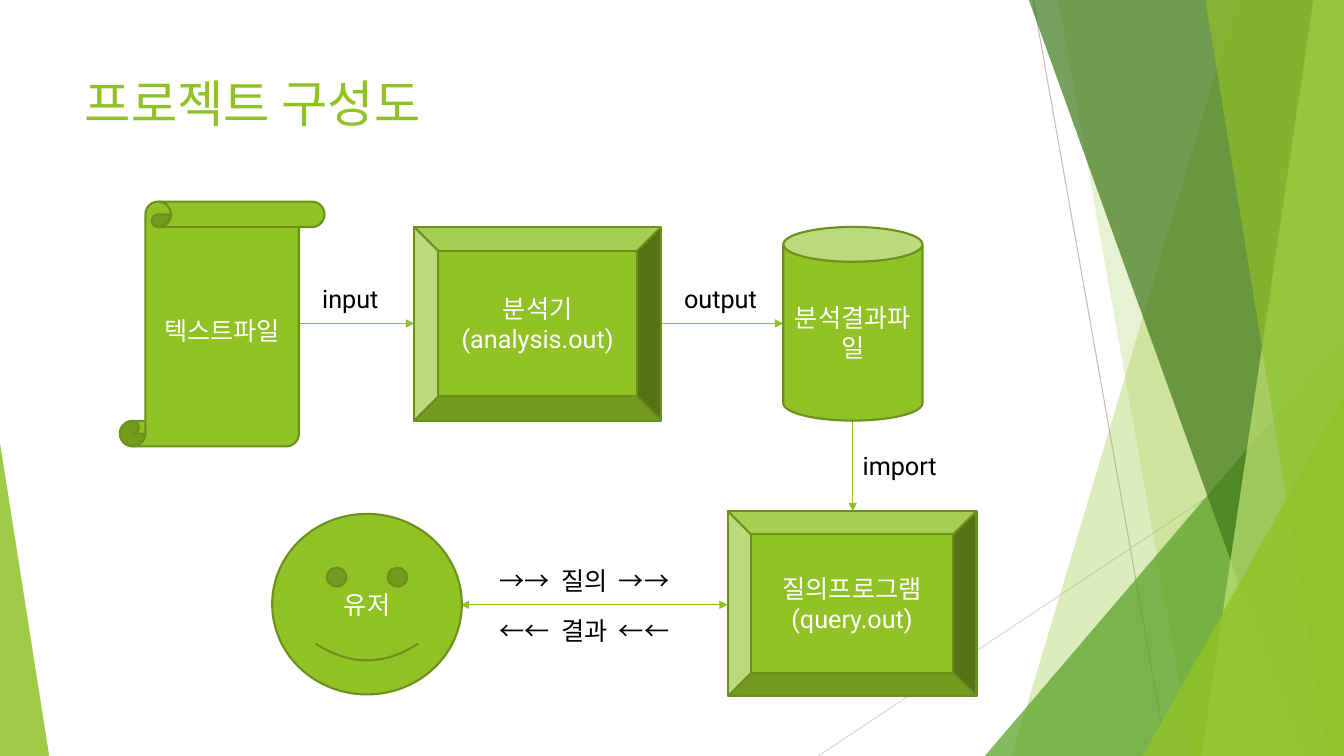
from lxml import etree
from pptx import Presentation
from pptx.dml.color import RGBColor
from pptx.enum.shapes import MSO_CONNECTOR, MSO_SHAPE
from pptx.enum.text import MSO_ANCHOR, MSO_AUTO_SIZE, PP_ALIGN
from pptx.oxml.ns import qn
from pptx.util import Cm, Pt

STRAIGHT = MSO_CONNECTOR.STRAIGHT
TRIANGLE = MSO_SHAPE.ISOSCELES_TRIANGLE
SCROLL, BEVEL = MSO_SHAPE.VERTICAL_SCROLL, MSO_SHAPE.BEVEL
CAN, SMILEY = MSO_SHAPE.CAN, MSO_SHAPE.SMILEY_FACE
LEFT, CENTER = PP_ALIGN.LEFT, PP_ALIGN.CENTER
TOP, GROW, FIXED = MSO_ANCHOR.TOP, MSO_AUTO_SIZE.SHAPE_TO_FIT_TEXT, MSO_AUTO_SIZE.NONE

WIDTH, HEIGHT = 33.87, 19.05
GREEN, DARK_GREEN = "90C226", "6B901C"
WHITE, BLACK = "FFFFFF", "000000"


def paint(fill, color, opacity=100):
    """Make a fill solid in a hex colour, with opacity in percent."""
    fill.solid()
    fill.fore_color.rgb = RGBColor.from_string(color)
    if opacity < 100:
        color_element = fill._xPr.find(qn("a:solidFill"))[0]
        etree.SubElement(color_element, qn("a:alpha"), val=str(opacity * 1000))


def write(shape, text, size, color, alignment):
    """Put text in a shape and format every paragraph alike."""
    shape.text_frame.text = text
    shape.text_frame.word_wrap = True
    for paragraph in shape.text_frame.paragraphs:
        paragraph.alignment = alignment
        paragraph.font.name = "Roboto"
        paragraph.font.size = Pt(size)
        paint(paragraph.font.fill, color)


presentation = Presentation()
presentation.slide_width, presentation.slide_height = Cm(WIDTH), Cm(HEIGHT)
slide = presentation.slides.add_slide(presentation.slide_layouts[5])
shapes = slide.shapes

title = shapes.title
title.left, title.top, title.width, title.height = Cm(1.88), Cm(1.7), Cm(23.88), Cm(3.66)
write(title, "프로젝트 구성도", 36, GREEN, LEFT)
title.text_frame.vertical_anchor = TOP
title.text_frame.auto_size = FIXED

# Thin background lines, then flow arrows: start, end, colour, width, arrowheads
lines = [
    (26.04, 0, 29.41, HEIGHT, "BFBFBF", 0.75, []),
    (WIDTH, 10.24, 20.62, HEIGHT, "D9D9D9", 0.75, []),
    (7.54, 8.15, 10.44, 8.15, GREEN, 1, ["a:tailEnd"]),
    (16.66, 8.15, 19.74, 8.15, GREEN, 1, ["a:tailEnd"]),
    (21.49, 10.59, 21.49, 12.88, GREEN, 1, ["a:tailEnd"]),
    (11.61, 15.24, 18.34, 15.24, GREEN, 1, ["a:headEnd", "a:tailEnd"]),
]
for x1, y1, x2, y2, color, width, arrowheads in lines:
    connector = shapes.add_connector(STRAIGHT, Cm(x1), Cm(y1), Cm(x2), Cm(y2))
    connector.line.width = Pt(width)
    paint(connector.line.fill, color)
    properties = connector._element.spPr
    for arrowhead in arrowheads:
        etree.SubElement(properties.find(qn("a:ln")), qn(arrowhead), type="triangle")
    etree.SubElement(properties, qn("a:effectLst"))

# Bands reach the right edge: (x at top, x at bottom)
# Corner triangles stand on the bottom edge: (left, top, width, apex position)
facets = [
    ((31.19, 25.5), GREEN, 30),
    ((26.67, 30.05), GREEN, 20),
    ((24.82, 8.46, 9.05, 1), "54A021", 72),
    ((25.93, 32.79), "3F7819", 70),
    ((33.1, 30.28), "C0E474", 70),
    ((30.38, 33.48), GREEN, 65),
    ((28.8, 9.98, 5.07, 1), GREEN, 80),
    ((0, 11.15, 1.24, 0), GREEN, 85),
]
for geometry, color, opacity in facets:
    if len(geometry) == 2:
        top_x, bottom_x = geometry
        builder = shapes.build_freeform(Cm(top_x), 0)
        corners = [(WIDTH, 0), (WIDTH, HEIGHT), (bottom_x, HEIGHT)]
        builder.add_line_segments([(Cm(x), Cm(y)) for x, y in corners])
        facet = builder.convert_to_shape()
    else:
        left, top, width, apex = geometry
        facet = shapes.add_shape(TRIANGLE, Cm(left), Cm(top), Cm(width), Cm(HEIGHT - top))
        facet.adjustments[0] = apex
    facet.shadow.inherit = False
    paint(facet.fill, color, opacity)
    facet.line.fill.background()

nodes = [
    (SCROLL, 3.02, 5.08, 5.16, 6.17, "텍스트파일"),
    (BEVEL, 10.44, 5.72, 6.22, 4.88, "분석기\n(analysis.out)"),
    (CAN, 19.74, 5.72, 3.51, 4.88, "분석결과파일"),
    (BEVEL, 18.34, 12.88, 6.27, 4.67, "질의프로그램\n(query.out)"),
    (SMILEY, 6.86, 12.95, 4.78, 4.55, "유저"),
]
for kind, left, top, width, height, text in nodes:
    node = shapes.add_shape(kind, Cm(left), Cm(top), Cm(width), Cm(height))
    node.shadow.inherit = False
    paint(node.fill, GREEN)
    paint(node.line.fill, DARK_GREEN)
    node.line.width = Pt(1.5)
    write(node, text, 18, WHITE, CENTER)

labels = [
    (7.87, 7.01, 2.24, "input"),
    (16.99, 7.01, 2.51, "output"),
    (21.49, 11.23, 3.15, "import"),
    (12.34, 14.12, 5.26, "→→  질의  →→"),
    (12.34, 15.37, 5.26, "←←  결과  ←←"),
]
for left, top, width, text in labels:
    label = shapes.add_textbox(Cm(left), Cm(top), Cm(width), Cm(1.02))
    write(label, text, 18, BLACK, LEFT)
    label.text_frame.auto_size = GROW

presentation.save("out.pptx")
